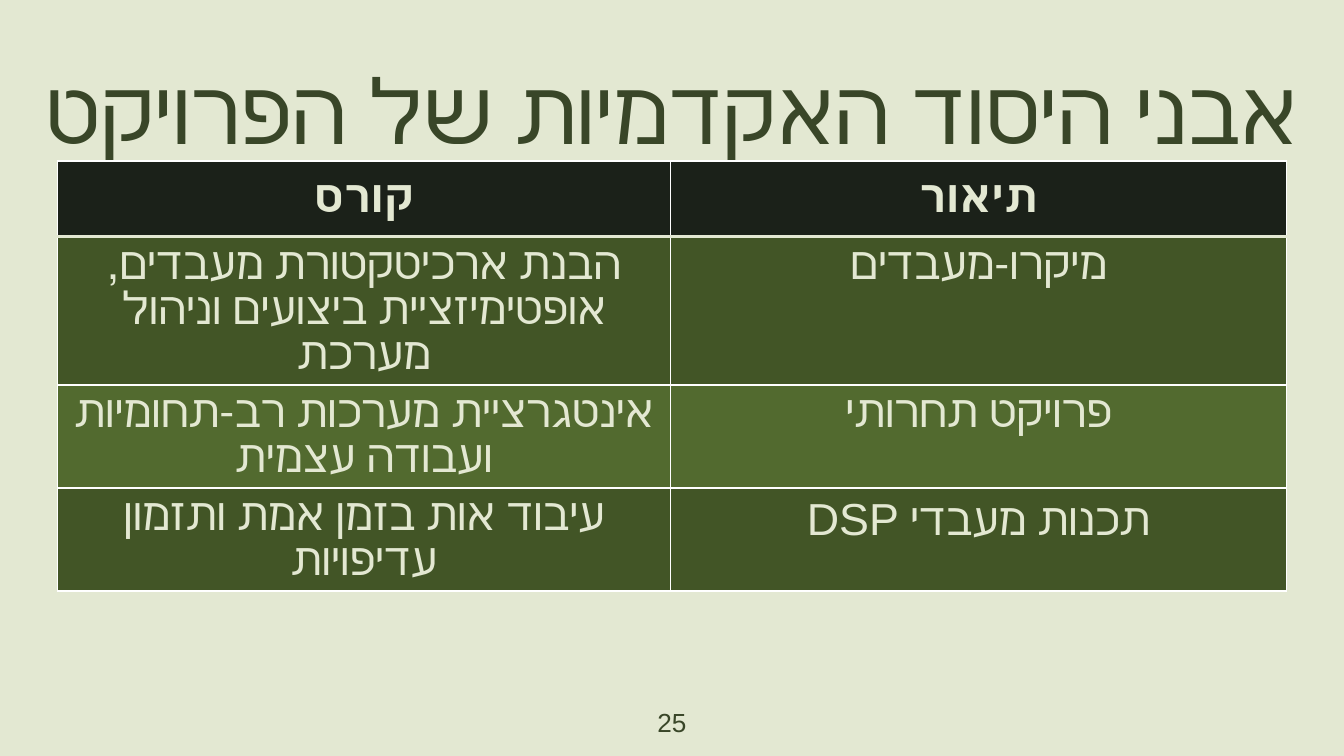
import pptx
import pptx.util
import pptx.dml.color
import pptx.enum.text
import pptx.oxml
import pptx.oxml.ns

Pt = pptx.util.Pt
PP_ALIGN = pptx.enum.text.PP_ALIGN
MIDDLE = pptx.enum.text.MSO_ANCHOR.MIDDLE

TITLE = "אבני היסוד האקדמיות של הפרויקט"
HEADER = ["קורס", "תיאור"]
COURSES = [
    [("הבנת ארכיטקטורת מעבדים, אופטימיזציית ביצועים וניהול מערכת", False),
     ("מיקרו-מעבדים", True)],
    [("אינטגרציית מערכות רב-תחומיות ועבודה עצמית", False),
     ("פרויקט תחרותי", True)],
    [("עיבוד אות בזמן אמת ותזמון עדיפויות", True),
     ("תכנות מעבדי DSP", True)],
]
PAGE_NUMBER = "25"

LIGHT, DARK, HEAD_FILL = "E3E8D2", "394628", "1B2119"
BAND_FILLS = ["425526", "526A2F"]
COL_WIDTHS = [328.5, 330]
ROW_HEIGHTS = [40.5, 79.2, 55.2, 55.2]
WIDTH, HEIGHT = 720, 405


def rgb(value):
    return pptx.dml.color.RGBColor.from_string(value)


def write(tf, text, size=24, color=LIGHT, font="Arial", bold=False, rtl=False, spacing=None):
    p = tf.paragraphs[0]
    p.alignment = PP_ALIGN.CENTER
    if spacing:
        p.line_spacing = spacing
    if rtl:
        p._p.get_or_add_pPr().set("rtl", "1")
    r = p.add_run()
    r.text = text
    r.font.size = Pt(size)
    r.font.name = font
    r.font.bold = bold
    r.font.color.rgb = rgb(color)


def set_margins(frame, margin):
    frame.margin_left = frame.margin_right = Pt(margin)
    frame.margin_top = frame.margin_bottom = Pt(margin)


def set_bottom_border(cell, color, width):
    ns = pptx.oxml.ns.nsdecls("a")
    line = pptx.oxml.parse_xml(
        f'<a:lnB {ns} w="{Pt(width)}"><a:solidFill><a:srgbClr val="{color}"/></a:solidFill></a:lnB>')
    cell._tc.get_or_add_tcPr().insert(0, line)


def fill_cell(cell, color):
    cell.fill.solid()
    cell.fill.fore_color.rgb = rgb(color)


prs = pptx.Presentation()
prs.slide_width, prs.slide_height = Pt(WIDTH), Pt(HEIGHT)
s = prs.slides.add_slide(prs.slide_layouts[5])
s.background.fill.solid()
s.background.fill.fore_color.rgb = rgb(LIGHT)

title = s.shapes.title
title.left, title.top, title.width, title.height = Pt(0), Pt(42.5), Pt(WIDTH), Pt(45.5)
tf = title.text_frame
tf.word_wrap = True
tf.auto_size = pptx.enum.text.MSO_AUTO_SIZE.NONE
tf.vertical_anchor = MIDDLE
set_margins(tf, 7.2)
write(tf, TITLE, size=48, color=DARK, font="Roboto", spacing=0.7)

table = s.shapes.add_table(
    len(ROW_HEIGHTS), len(COL_WIDTHS), Pt(30.75), Pt(86.4),
    Pt(sum(COL_WIDTHS)), Pt(sum(ROW_HEIGHTS))).table
for column, width in zip(table.columns, COL_WIDTHS):
    column.width = Pt(width)
for row, height in zip(table.rows, ROW_HEIGHTS):
    row.height = Pt(height)

for col, text in enumerate(HEADER):
    cell = table.cell(0, col)
    fill_cell(cell, HEAD_FILL)
    set_bottom_border(cell, LIGHT, 2)
    set_margins(cell, 7.2)
    cell.vertical_anchor = MIDDLE
    write(cell.text_frame, text, bold=True)

for row, course in enumerate(COURSES):
    for col, (text, rtl) in enumerate(course):
        cell = table.cell(row + 1, col)
        fill_cell(cell, BAND_FILLS[row % 2])
        write(cell.text_frame, text, rtl=rtl)

footer = s.shapes.add_textbox(Pt(0), Pt(375), Pt(WIDTH), Pt(24.5))
footer.text_frame.word_wrap = True
write(footer.text_frame, PAGE_NUMBER, size=14, color=DARK)

prs.save("out.pptx")
